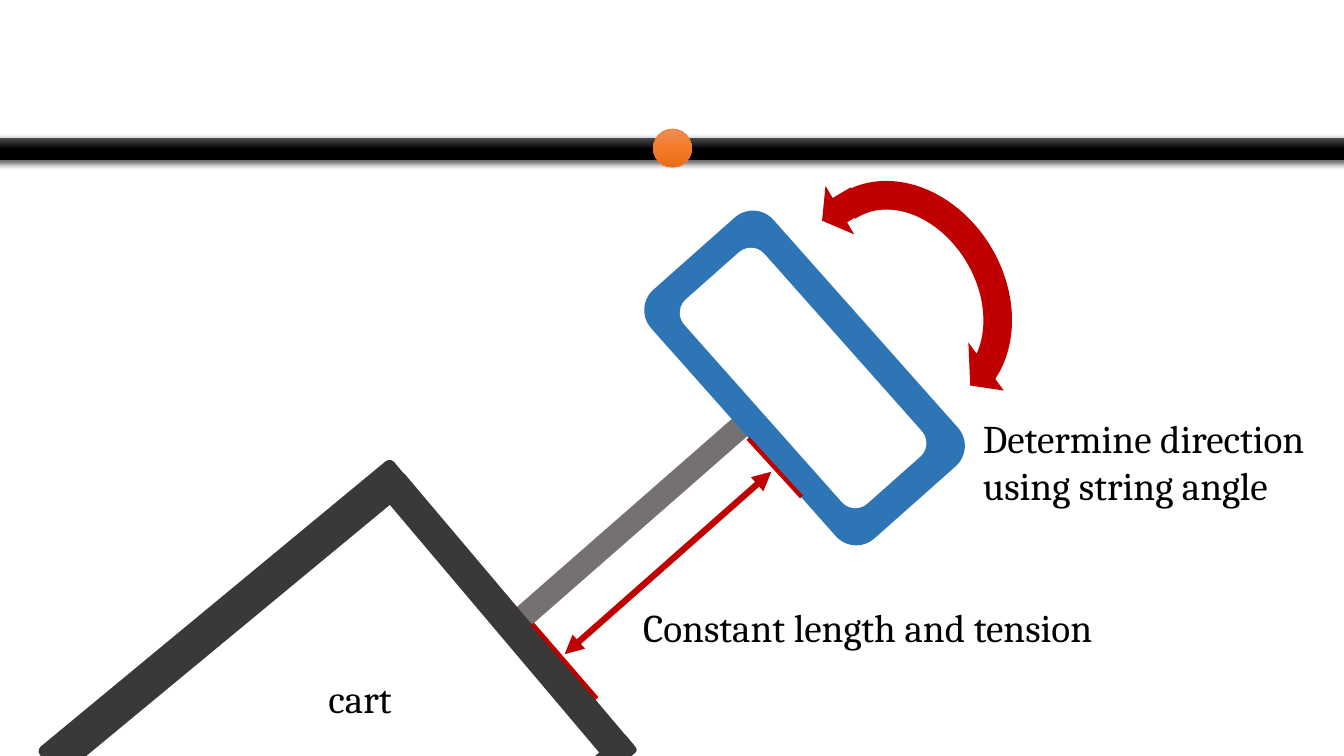
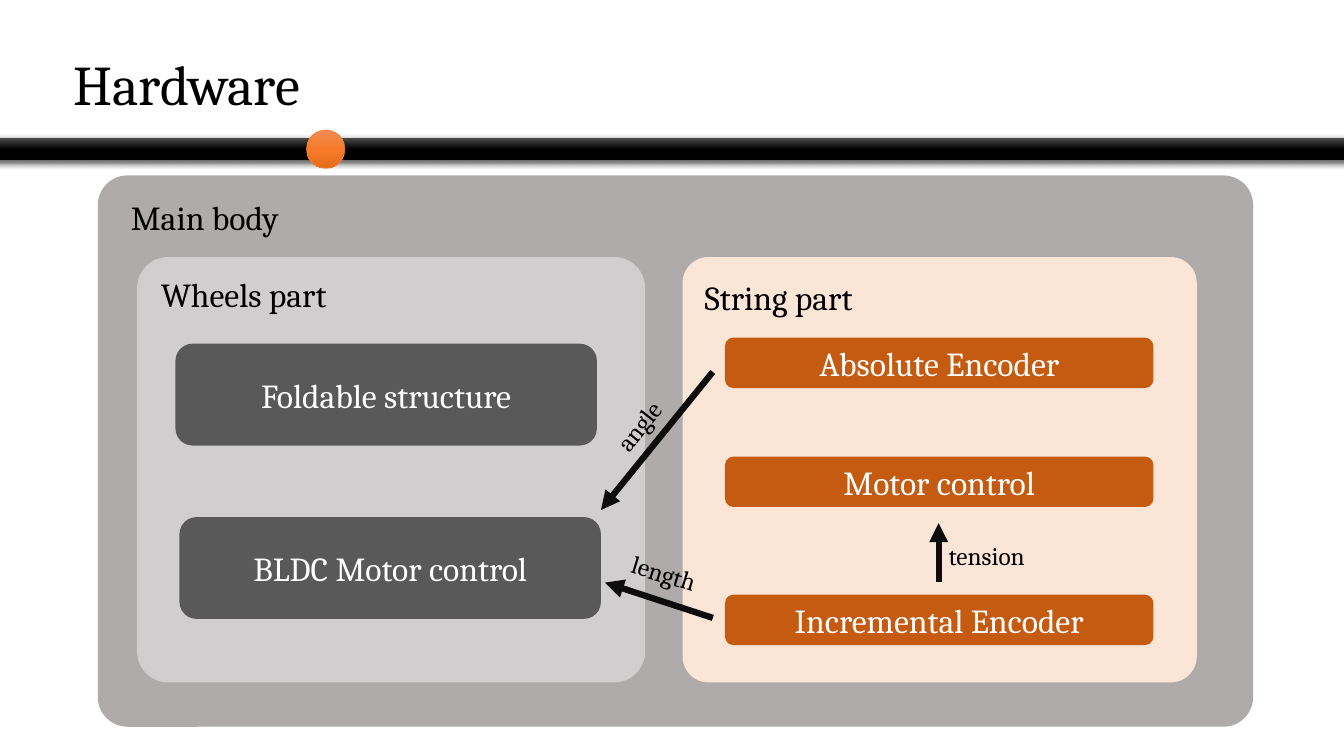
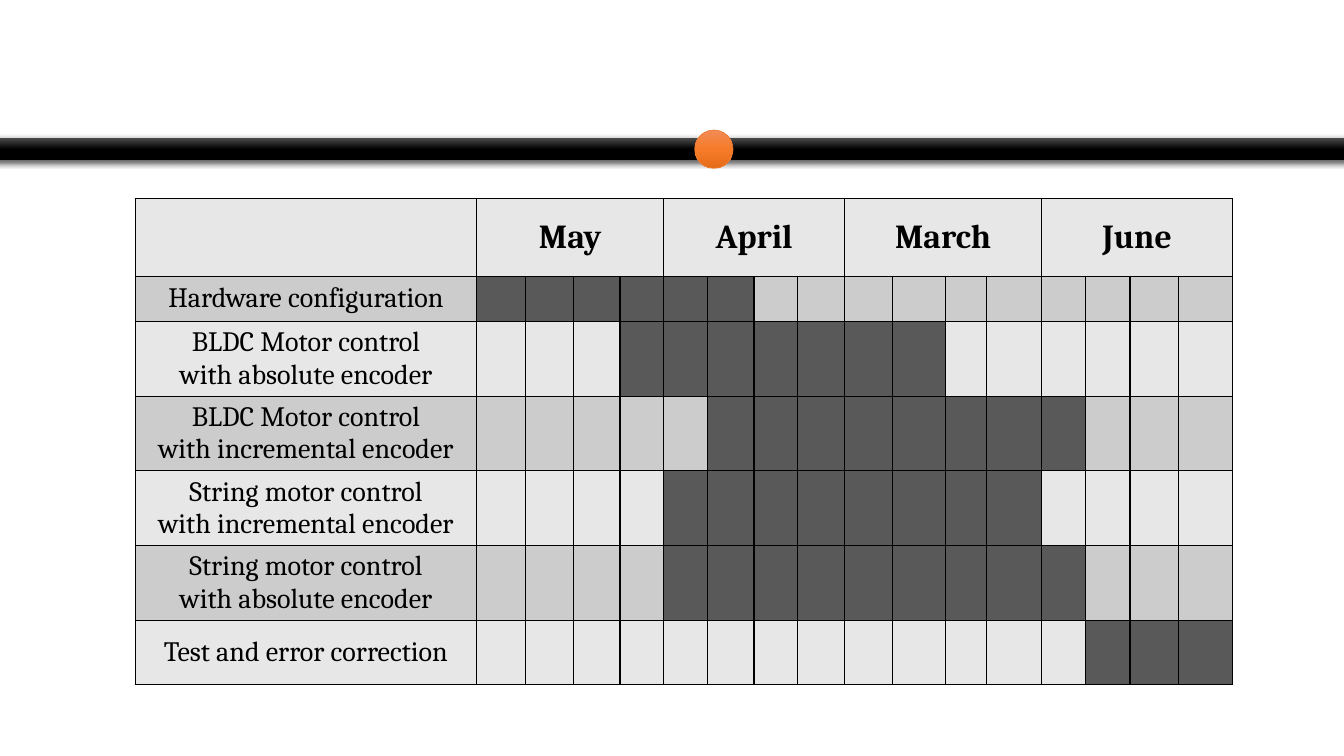
"""Build three slides on a string-guided cart: sensing, hardware and schedule."""
from dataclasses import dataclass
from typing import Any, Optional

from lxml import etree
from pptx import Presentation
from pptx import util as u
from pptx.dml.color import RGBColor
from pptx.enum import shapes, text
from pptx.oxml.ns import qn

BLACK = RGBColor(0x00, 0x00, 0x00)
WHITE = RGBColor(0xFF, 0xFF, 0xFF)
RED = RGBColor(0xC0, 0x00, 0x00)
BLUE = RGBColor(0x2E, 0x75, 0xB6)
CART = RGBColor(0x3B, 0x38, 0x38)
STRING = RGBColor(0x76, 0x71, 0x71)
BODY = RGBColor(0xAF, 0xAB, 0xAB)
WHEELS = RGBColor(0xD0, 0xCE, 0xCE)
PEACH = RGBColor(0xFB, 0xE5, 0xD6)
DARK = RGBColor(0x59, 0x59, 0x59)
RUST = RGBColor(0xC5, 0x5A, 0x11)
ARROW = RGBColor(0x0D, 0x0D, 0x0D)
KNOB_EDGE = RGBColor(0xED, 0x7D, 0x31)
ROW_LIGHT = RGBColor(0xE7, 0xE7, 0xE7)
ROW_DARK = RGBColor(0xCC, 0xCC, 0xCC)
RAIL_STOPS = ((0, RGBColor(0x4B, 0x4B, 0x4B)), (50, BLACK), (100, BLACK))
KNOB_STOPS = (
    (0, RGBColor(0xF1, 0x8C, 0x57)),
    (50, RGBColor(0xF6, 0x7B, 0x28)),
    (100, RGBColor(0xE5, 0x6C, 0x19)),
)

FONT = "Cambria"
ROUND = shapes.MSO_SHAPE.ROUNDED_RECTANGLE
PROCESS = shapes.MSO_SHAPE.FLOWCHART_ALTERNATE_PROCESS
Box = tuple[float, float, float, float]
Point = tuple[float, float]
Stops = tuple[tuple[int, RGBColor], ...]


@dataclass(frozen=True)
class Block:
    """A filled preset shape, with an optional centred caption."""
    box: Box
    fill: RGBColor
    kind: Any = ROUND
    rotation: float = 0
    adjustments: tuple[float, ...] = ()
    caption: str = ""


@dataclass(frozen=True)
class Label:
    """A text box."""
    words: str
    box: Box
    size: int
    rotation: float = 0


@dataclass(frozen=True)
class Line:
    """A straight line with arrowheads on the named ends."""
    start: Point
    end: Point
    color: RGBColor
    width: float
    arrows: tuple[str, ...] = ()


@dataclass(frozen=True)
class Task:
    """A schedule row: name, first week and number of weeks."""
    name: str
    first: int
    weeks: int


SENSING = (
    Block((6.16, 3.58, 0.23, 3.18), STRING, rotation=48.8),
    Block((6.33, 2.94, 3.3, 1.62), BLUE, rotation=48.4),
    Block((6.61, 3.22, 2.71, 1.06), WHITE, rotation=48.4),
    Block((3.22, 5.99, 3.62, 0.31), CART, rotation=49.8),
    Block((-0.05, 5.95, 4.56, 0.36), CART, rotation=320.4),
    Block((5.62, 7.47, 0.72, 0.23), CART, rotation=320.4),
    Label("cart", (3.16, 6.64, 1.84, 0.57), 28),
    Line((7.42, 4.35), (7.95, 4.93), RED, 3),
    Line((5.28, 6.19), (5.92, 6.93), RED, 3),
    Line((7.65, 4.68), (5.6, 6.49), RED, 4.5, ("headEnd", "tailEnd")),
    Label("Constant length and tension", (6.28, 5.94, 4.91, 0.57), 28),
    Block((8.05, 1.88, 0.56, 0.41), RED, shapes.MSO_SHAPE.DOWN_ARROW, 59.4),
    Block((7.61, 1.82, 2.75, 2.28), RED, shapes.MSO_SHAPE.CIRCULAR_ARROW, 59.4,
          (0.125, 7.94, 204.58, 106.93, 0.13)),
    Label("Determine direction using string angle", (9.65, 4.06, 3.41, 1.51), 28),
)

HARDWARE = (
    Block((0.97, 1.74, 11.46, 5.47), BODY, adjustments=(0.054,)),
    Block((1.36, 2.55, 5.04, 4.22), WHEELS, adjustments=(0.073,)),
    Block((6.77, 2.55, 5.1, 4.22), PEACH, adjustments=(0.061,)),
    Label("Main body", (1.2, 1.9, 2.49, 0.5), 24),
    Label("Wheels part", (1.5, 2.67, 2.2, 0.5), 24),
    Label("String part", (6.89, 2.7, 1.85, 0.5), 24),
    Block((1.74, 3.41, 4.18, 1.01), DARK, PROCESS, caption="Foldable structure"),
    Block((1.78, 5.13, 4.18, 1.01), DARK, PROCESS, caption="BLDC Motor control"),
    *(Block((7.19, top, 4.25, 0.5), RUST, PROCESS, caption=caption)
      for top, caption in ((3.35, "Absolute Encoder"), (4.53, "Motor control"),
                           (5.9, "Incremental Encoder"))),
    *(Line(start, end, ARROW, 4.5, ("tailEnd",))
      for start, end in (((7.07, 3.69), (5.96, 5.06)), ((7.07, 6.13), (6, 5.78)),
                         ((9.31, 5.77), (9.31, 5.19)))),
    Label("angle", (5.92, 3.94, 0.96, 0.4), 18, 308.1),
    Label("length", (6.16, 5.5, 0.96, 0.4), 18, 17.1),
    Label("tension", (9.31, 5.31, 1.1, 0.4), 18),
)

MONTHS = ("May", "April", "March", "June")
WEEKS_PER_MONTH = 4
COLUMN_WIDTHS = (3.39, 0.48, 0.48, 0.46, 0.43, 0.44, 0.46, 0.43, 0.47,
                 0.47, 0.53, 0.41, 0.54, 0.44, 0.44, 0.48, 0.54)
ROW_HEIGHTS = (0.77, 0.45, 0.69, 0.7, 0.68, 0.69, 0.64)
TASKS = (
    Task("Hardware configuration", 1, 6),
    Task("BLDC Motor control\nwith absolute encoder", 4, 7),
    Task("BLDC Motor control\nwith incremental encoder", 6, 8),
    Task("String motor control\nwith incremental encoder", 5, 8),
    Task("String motor control\nwith absolute encoder", 5, 9),
    Task("Test and error correction", 14, 3),
)


def inches(values: tuple[float, ...]) -> list[u.Length]:
    """Convert numbers to lengths."""
    return [u.Inches(value) for value in values]


def add_element(parent: Any, tag: str, **attributes: Any) -> Any:
    """Append a drawing element with the given attributes."""
    return etree.SubElement(parent, qn(tag), {key: str(value) for key, value in attributes.items()})


def write(frame: Any, words: str, size: int, color: RGBColor = BLACK,
          bold: bool = False, align: Any = text.PP_ALIGN.LEFT) -> None:
    """Fill a text frame, formatting each paragraph alike."""
    frame.text = words
    font_format = {"name": FONT, "size": u.Pt(size), "bold": bold}
    for paragraph in frame.paragraphs:
        paragraph.alignment = align
        for run in paragraph.runs:
            for name, value in font_format.items():
                setattr(run.font, name, value)
            run.font.color.rgb = color


def format_frame(frame: Any) -> None:
    """Give a text frame the common text box layout."""
    frame_format = {
        "word_wrap": True,
        "auto_size": text.MSO_AUTO_SIZE.SHAPE_TO_FIT_TEXT,
        "vertical_anchor": text.MSO_ANCHOR.TOP,
    }
    for name, value in frame_format.items():
        setattr(frame, name, value)


def add_plain_shape(slide: Any, kind: Any, box: Box) -> Any:
    """Add a preset shape without line or shadow."""
    shape = slide.shapes.add_shape(kind, *inches(box))
    shape.shadow.inherit = False
    shape.line.fill.background()
    return shape


def add_block(slide: Any, block: Block) -> None:
    """Draw a block."""
    shape = add_plain_shape(slide, block.kind, block.box)
    shape.rotation = block.rotation
    shape.fill.solid()
    shape.fill.fore_color.rgb = block.fill
    for index, value in enumerate(block.adjustments):
        shape.adjustments[index] = value
    if block.caption:
        shape.text_frame.vertical_anchor = text.MSO_ANCHOR.MIDDLE
        write(shape.text_frame, block.caption, 24, WHITE, align=text.PP_ALIGN.CENTER)


def add_label(slide: Any, label: Label) -> None:
    """Draw a label."""
    shape = slide.shapes.add_textbox(*inches(label.box))
    shape.rotation = label.rotation
    format_frame(shape.text_frame)
    write(shape.text_frame, label.words, label.size)


def add_line(slide: Any, line: Line) -> None:
    """Draw a line."""
    connector = slide.shapes.add_connector(
        shapes.MSO_CONNECTOR.STRAIGHT, *inches(line.start + line.end))
    connector.line.color.rgb = line.color
    connector.line.width = u.Pt(line.width)
    outline = connector.line._get_or_add_ln()
    for end in line.arrows:
        add_element(outline, f"a:{end}", type="triangle")
    add_element(connector._element.spPr, "a:effectLst")


def fill_gradient(shape: Any, stops: Stops) -> None:
    """Fill a shape from top to bottom through the given stops."""
    shape.fill.gradient()
    shape.fill.gradient_angle = 270
    stop_list = shape._element.spPr.find(qn("a:gradFill")).find(qn("a:gsLst"))
    for stop in list(stop_list):
        stop_list.remove(stop)
    for percent, color in stops:
        stop = add_element(stop_list, "a:gs", pos=percent * 1000)
        add_element(stop, "a:srgbClr", val=color)


def add_rail(slide: Any, knob_left: float, knob_top: float = 1.29) -> None:
    """Draw the shared black rail and its orange knob."""
    rail = add_plain_shape(slide, ROUND, (-0.74, 1.37, 16.11, 0.22))
    fill_gradient(rail, RAIL_STOPS)
    effects = rail._element.spPr.find(qn("a:effectLst"))
    shadow = add_element(effects, "a:outerShdw", blurRad=u.Pt(4.5), dist=u.Pt(1.5),
                         dir=5400000, algn="ctr", rotWithShape=0)
    shadow_color = add_element(shadow, "a:srgbClr", val=BLACK)
    add_element(shadow_color, "a:alpha", val=63000)
    knob = add_plain_shape(slide, shapes.MSO_SHAPE.OVAL, (knob_left, knob_top, 0.38, 0.38))
    fill_gradient(knob, KNOB_STOPS)
    knob.line.color.rgb = KNOB_EDGE
    knob.line.width = u.Pt(0.5)


def add_title(slide: Any, words: str, box: Box) -> None:
    """Place and format the title placeholder."""
    title = slide.shapes.title
    for name, value in zip(("left", "top", "width", "height"), inches(box)):
        setattr(title, name, value)
    format_frame(title.text_frame)
    write(title.text_frame, words, 40)


def draw(slide: Any, items: tuple[Any, ...]) -> None:
    """Draw blocks, labels and lines from back to front."""
    painters = {Block: add_block, Label: add_label, Line: add_line}
    for item in items:
        painters[type(item)](slide, item)


def format_cell(cell: Any, fill: RGBColor) -> None:
    """Fill a cell, centre it and give it thin black borders."""
    cell.fill.solid()
    cell.fill.fore_color.rgb = fill
    cell.vertical_anchor = text.MSO_ANCHOR.MIDDLE
    properties = cell._tc.get_or_add_tcPr()
    for index, side in enumerate(("lnL", "lnR", "lnT", "lnB")):
        border = add_element(properties, f"a:{side}", w=u.Pt(1))
        add_element(add_element(border, "a:solidFill"), "a:srgbClr", val=BLACK)
        properties.insert(index, border)


def add_schedule(slide: Any) -> None:
    """Draw the schedule table with its task bars."""
    frame = slide.shapes.add_table(len(ROW_HEIGHTS), len(COLUMN_WIDTHS),
                                   *inches((1.34, 1.97, 10.88, 4.93)))
    table = frame.table
    for column, width in zip(table.columns, COLUMN_WIDTHS):
        column.width = u.Inches(width)
    for row, height in zip(table.rows, ROW_HEIGHTS):
        row.height = u.Inches(height)
    rows: tuple[Optional[Task], ...] = (None, *TASKS)
    for row_index, task in enumerate(rows):
        background = ROW_DARK if row_index % 2 else ROW_LIGHT
        for week in range(len(COLUMN_WIDTHS)):
            busy = task is not None and task.first <= week < task.first + task.weeks
            format_cell(table.cell(row_index, week), DARK if busy else background)
        if task:
            write(table.cell(row_index, 0).text_frame, task.name, 20,
                  align=text.PP_ALIGN.CENTER)
    for index, month in enumerate(MONTHS):
        first = 1 + index * WEEKS_PER_MONTH
        header = table.cell(0, first)
        header.merge(table.cell(0, first + WEEKS_PER_MONTH - 1))
        write(header.text_frame, month, 24, bold=True, align=text.PP_ALIGN.CENTER)


def main() -> None:
    """Build and save the presentation."""
    presentation = Presentation()
    presentation.slide_width = u.Inches(13.33)
    presentation.slide_height = u.Inches(7.5)
    title_only, blank = presentation.slide_layouts[5], presentation.slide_layouts[6]

    sensing = presentation.slides.add_slide(blank)
    add_rail(sensing, 6.48, 1.28)
    draw(sensing, SENSING)

    hardware = presentation.slides.add_slide(title_only)
    add_title(hardware, "Hardware", (0.63, 0.44, 3.63, 0.77))
    add_rail(hardware, 3.04)
    draw(hardware, HARDWARE)

    schedule = presentation.slides.add_slide(blank)
    add_rail(schedule, 6.89)
    add_schedule(schedule)

    presentation.save("out.pptx")


if __name__ == "__main__":
    main()
